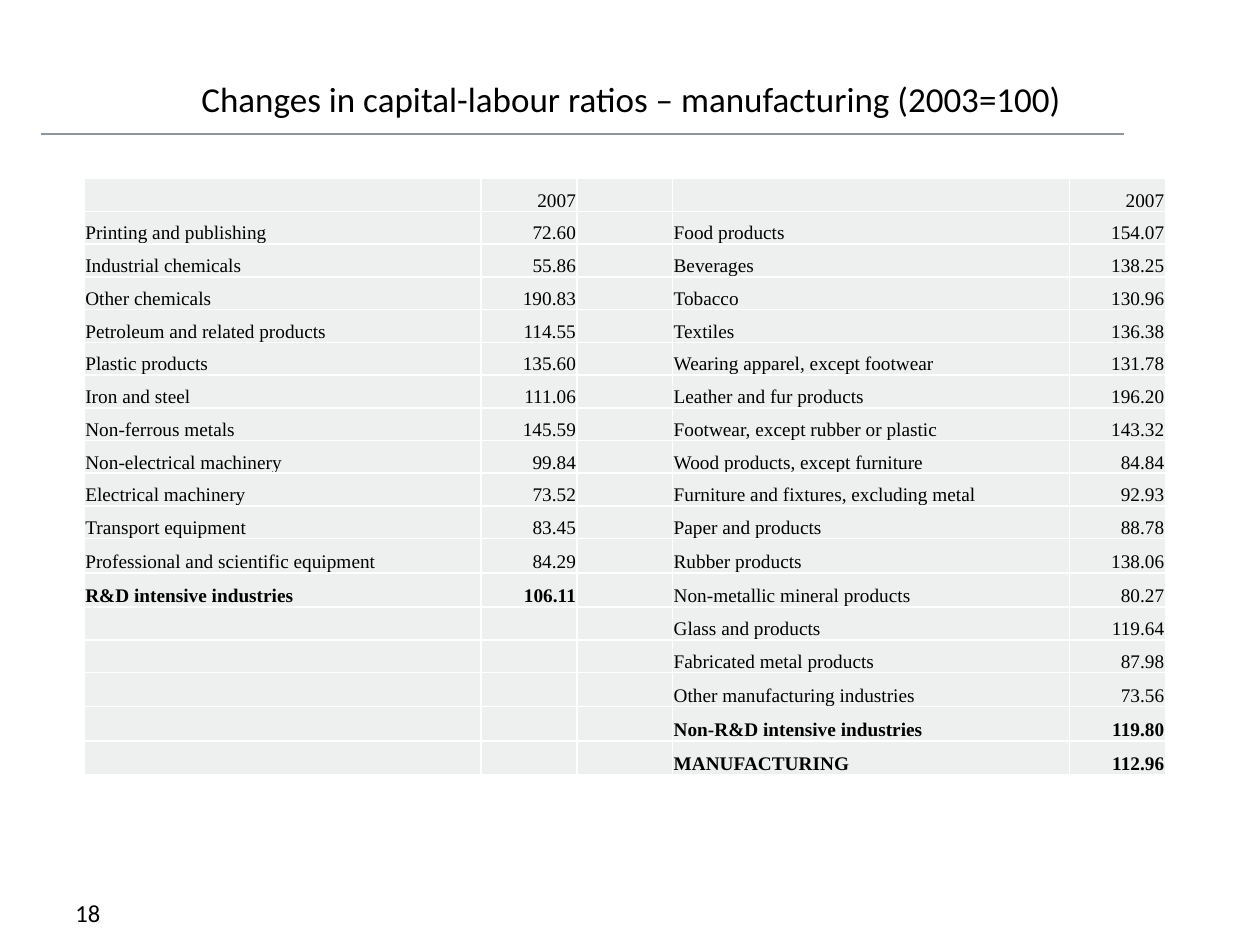
"""Build the slide on capital-labour ratios in manufacturing."""
from dataclasses import dataclass
from itertools import zip_longest

from lxml import etree
from pptx import Presentation
from pptx.dml.color import RGBColor
from pptx.enum.shapes import MSO_CONNECTOR
from pptx.enum.text import MSO_ANCHOR, PP_ALIGN
from pptx.oxml.ns import qn
from pptx.util import Cm, Pt

STRAIGHT = MSO_CONNECTOR.STRAIGHT
TOP, BOTTOM = MSO_ANCHOR.TOP, MSO_ANCHOR.BOTTOM
LEFT, RIGHT = PP_ALIGN.LEFT, PP_ALIGN.RIGHT
HUES = {"ink": "000000", "rule": "8C969C", "cell": "EEEFEF", "edge": "FFFFFF"}
SANS, SERIF = "Calibri", "Times New Roman"
SIZE = 11
WIDTHS = (8, 1.93, 1.93, 8, 1.93)
SHORT, TALL = 0.66, 0.69
TALL_ROWS = (11, 12, 15, 16, 17)


@dataclass
class Entry:
    name: str = ""
    ratio: str = ""
    bold: bool = False


@dataclass
class Label:
    text: str
    left: float
    top: float
    width: float
    size: int
    anchor: MSO_ANCHOR


LABELS = (
    Label("18", 1.27, 17.98, 5.28, 14, TOP),
    Label("Changes in capital-labour ratios – manufacturing (2003=100)",
          3.81, 1.27, 18.62, 20, BOTTOM),
)
INTENSE = (
    Entry("", "2007"),
    Entry("Printing and publishing", "72.60"),
    Entry("Industrial chemicals", "55.86"),
    Entry("Other chemicals", "190.83"),
    Entry("Petroleum and related products", "114.55"),
    Entry("Plastic products", "135.60"),
    Entry("Iron and steel", "111.06"),
    Entry("Non-ferrous metals", "145.59"),
    Entry("Non-electrical machinery", "99.84"),
    Entry("Electrical machinery", "73.52"),
    Entry("Transport equipment", "83.45"),
    Entry("Professional and scientific equipment", "84.29"),
    Entry("R&D intensive industries", "106.11", True),
)
OTHERS = (
    Entry("", "2007"),
    Entry("Food products", "154.07"),
    Entry("Beverages", "138.25"),
    Entry("Tobacco", "130.96"),
    Entry("Textiles", "136.38"),
    Entry("Wearing apparel, except footwear", "131.78"),
    Entry("Leather and fur products", "196.20"),
    Entry("Footwear, except rubber or plastic", "143.32"),
    Entry("Wood products, except furniture", "84.84"),
    Entry("Furniture and fixtures, excluding metal", "92.93"),
    Entry("Paper and products", "88.78"),
    Entry("Rubber products", "138.06"),
    Entry("Non-metallic mineral products", "80.27"),
    Entry("Glass and products", "119.64"),
    Entry("Fabricated metal products", "87.98"),
    Entry("Other manufacturing industries", "73.56"),
    Entry("Non-R&D intensive industries", "119.80", True),
    Entry("MANUFACTURING", "112.96", True),
)


def tint(key: str) -> RGBColor:
    return RGBColor.from_string(HUES[key])


def style(para, face: str, size: int, bold: bool = False) -> None:
    font = para.font
    font.name, font.size, font.bold = face, Pt(size), bold
    font.color.rgb = tint("ink")


def add_label(slide, label: Label) -> None:
    box = slide.shapes.add_textbox(
        Cm(label.left), Cm(label.top), Cm(label.width), Cm(1.27))
    frame = box.text_frame
    frame.word_wrap = True
    frame.vertical_anchor = label.anchor
    frame.text = label.text
    style(frame.paragraphs[0], SANS, label.size)


def add_rule(slide) -> None:
    rule = slide.shapes.add_connector(
        STRAIGHT, Cm(0.83), Cm(2.7), Cm(22.66), Cm(2.7))
    rule.line.color.rgb = tint("rule")
    rule.line.width = Pt(1)
    etree.SubElement(rule._element.spPr, qn("a:effectLst"))


def add_edges(cell) -> None:
    props = cell._tc.get_or_add_tcPr()
    for side in ("lnL", "lnR", "lnT", "lnB"):
        line = etree.SubElement(props, qn(f"a:{side}"), w=str(Pt(1)))
        fill = etree.SubElement(line, qn("a:solidFill"))
        etree.SubElement(fill, qn("a:srgbClr"), val=HUES["edge"])


def fill_cell(cell, text: str, align: PP_ALIGN, bold: bool) -> None:
    cell.margin_left = cell.margin_right = cell.margin_top = Cm(0.02)
    cell.margin_bottom = 0
    cell.vertical_anchor = BOTTOM
    add_edges(cell)
    cell.fill.solid()
    cell.fill.fore_color.rgb = tint("cell")
    if text:
        cell.text_frame.text = text
    para = cell.text_frame.paragraphs[0]
    para.alignment = align
    style(para, SERIF, SIZE, bold)
    if not text:
        etree.SubElement(para._p, qn("a:endParaRPr"), sz=str(SIZE * 100))


def add_grid(slide) -> None:
    pairs = list(zip_longest(INTENSE, OTHERS, fillvalue=Entry()))
    highs = [TALL if row in TALL_ROWS else SHORT for row in range(len(pairs))]
    grid = slide.shapes.add_table(
        len(pairs), len(WIDTHS), Cm(1.7), Cm(3.6),
        Cm(sum(WIDTHS)), Cm(sum(highs))).table
    grid.first_row = grid.horz_banding = False
    for col, width in zip(grid.columns, WIDTHS):
        col.width = Cm(width)
    for row, high, (one, two) in zip(grid.rows, highs, pairs):
        row.height = Cm(high)
        parts = (
            (one.name, LEFT, one.bold), (one.ratio, RIGHT, one.bold),
            ("", LEFT, False),
            (two.name, LEFT, two.bold), (two.ratio, RIGHT, two.bold),
        )
        for cell, part in zip(row.cells, parts):
            fill_cell(cell, *part)


def main() -> None:
    deck = Presentation()
    deck.slide_width, deck.slide_height = Cm(25.4), Cm(19.05)
    slide = deck.slides.add_slide(deck.slide_layouts[6])
    add_rule(slide)
    for label in LABELS:
        add_label(slide, label)
    add_grid(slide)
    deck.save("out.pptx")


main()
